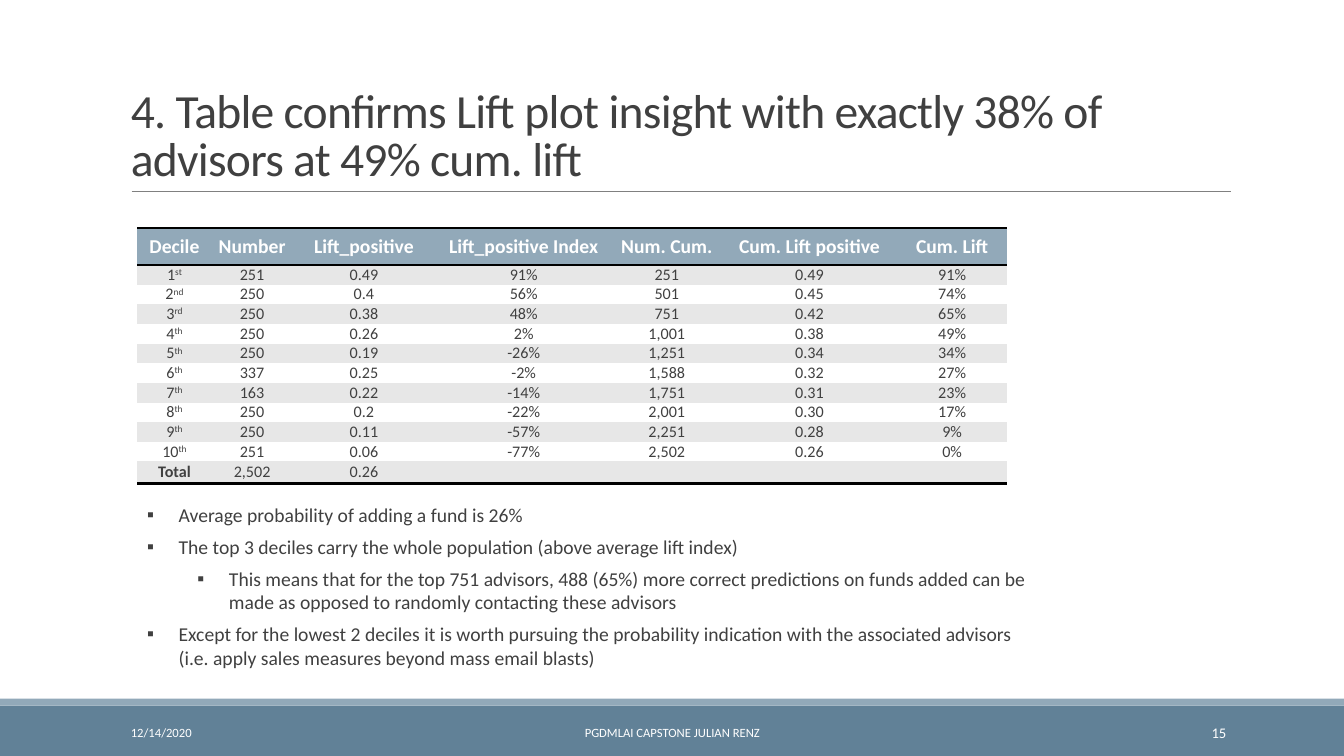
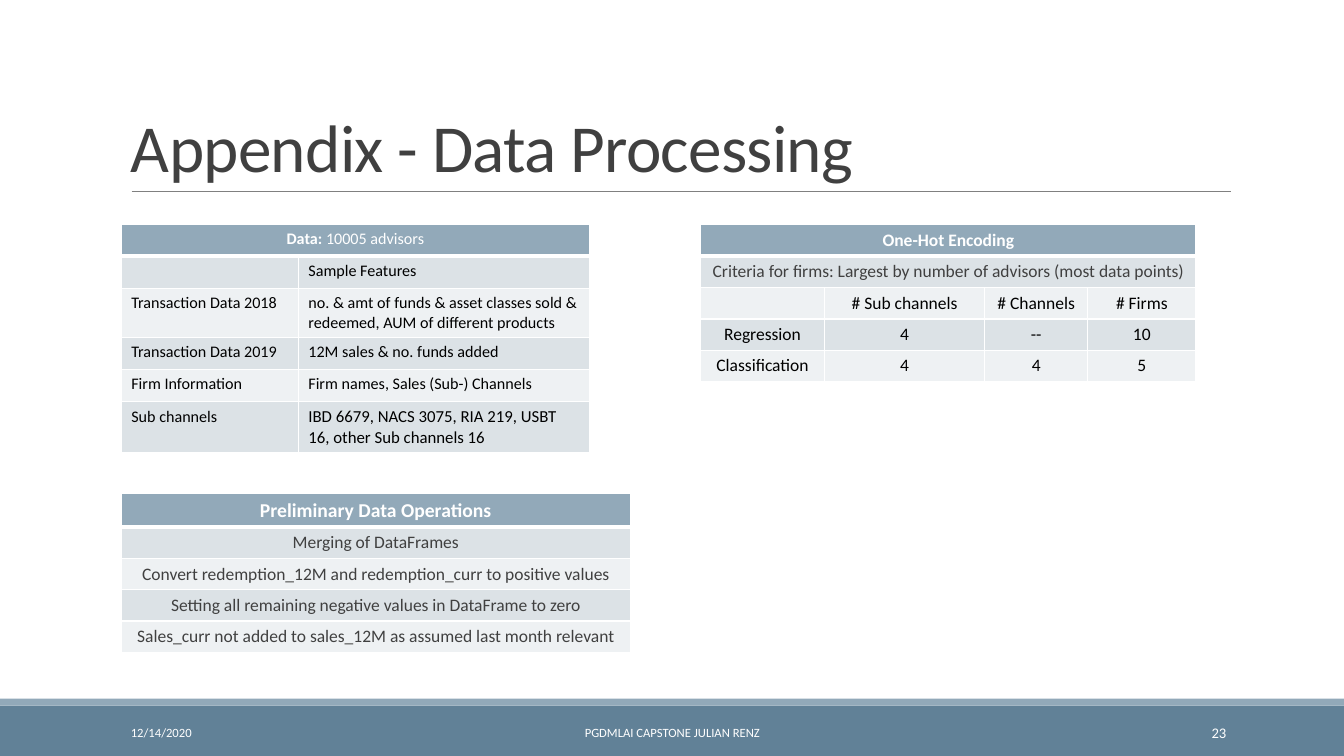
"""Build a lift-table slide and a data-processing appendix slide."""
from dataclasses import dataclass
from typing import Optional, Union

import lxml.etree
import pptx
import pptx.dml.color
import pptx.enum.shapes
import pptx.enum.text
import pptx.oxml.ns
import pptx.util

Pt = pptx.util.Pt
RGBColor = pptx.dml.color.RGBColor
Align = pptx.enum.text.PP_ALIGN
Anchor = pptx.enum.text.MSO_ANCHOR
qn = pptx.oxml.ns.qn

FONT = "Calibri"
SLATE = RGBColor(0x61, 0x81, 0x97)
STEEL = RGBColor(0x92, 0xA9, 0xB9)
RULE_GRAY = RGBColor(0x80, 0x80, 0x80)
DARK = RGBColor(0x40, 0x40, 0x40)
BLACK = RGBColor(0, 0, 0)
WHITE = RGBColor(0xFF, 0xFF, 0xFF)
LIGHT_GRAY = RGBColor(0xE7, 0xE7, 0xE7)
BLUE_BAND = RGBColor(0xDC, 0xE2, 0xE6)
PALE_BAND = RGBColor(0xEE, 0xF1, 0xF3)

SLIDE_WIDTH, SLIDE_HEIGHT = 960, 540
NO_STYLE = "{2D5ABB26-0587-4C30-8999-92F81FD0307C}"


@dataclass(frozen=True)
class Span:
    text: str
    bold: Optional[bool] = None
    baseline: int = 0
    size: Optional[float] = None


Cell = Union[str, tuple[Span, ...]]


@dataclass(frozen=True)
class TableLook:
    bands: tuple[RGBColor, RGBColor]
    border_color: RGBColor
    outer: float
    header_rule: float
    inner: float
    anchor: Anchor
    margins: tuple[float, float]


@dataclass(frozen=True)
class TableBlock:
    left: float
    top: float
    widths: list[float]
    heights: list[float]
    rows: list[list[Cell]]
    look: TableLook
    header_size: float
    body_size: float
    body_color: RGBColor
    body_align: Align = Align.CENTER


@dataclass(frozen=True)
class Footer:
    text: str
    left: float
    width: float
    size: float
    align: Align


@dataclass(frozen=True)
class Bullet:
    text: str
    level: int = 0


LIFT_LOOK = TableLook((LIGHT_GRAY, WHITE), BLACK, 2, 2, 0, Anchor.MIDDLE, (0, 0))
GRID_LOOK = TableLook((BLUE_BAND, PALE_BAND), WHITE, 1, 3, 1, Anchor.TOP, (7.2, 3.6))


def ordinal(number: str, suffix: str) -> tuple[Span, ...]:
    return Span(number), Span(suffix, baseline=30000)


LIFT_TABLE = TableBlock(
    98, 162.7, [53.3, 57.6, 102.2, 126, 78.5, 125.3, 78.5], [26.6] + [14.05] * 10 + [15.8],
    [
        ["Decile", "Number", "Lift_positive", "Lift_positive Index", "Num. Cum.",
         "Cum. Lift positive", "Cum. Lift"],
        [ordinal("1", "st"), "251", "0.49", "91%", "251", "0.49", "91%"],
        [ordinal("2", "nd"), "250", "0.4", "56%", "501", "0.45", "74%"],
        [ordinal("3", "rd"), "250", "0.38", "48%", "751", "0.42", "65%"],
        [ordinal("4", "th"), "250", "0.26", "2%", "1,001", "0.38", "49%"],
        [ordinal("5", "th"), "250", "0.19", "-26%", "1,251", "0.34", "34%"],
        [ordinal("6", "th"), "337", "0.25", "-2%", "1,588", "0.32", "27%"],
        [ordinal("7", "th"), "163", "0.22", "-14%", "1,751", "0.31", "23%"],
        [ordinal("8", "th"), "250", "0.2", "-22%", "2,001", "0.30", "17%"],
        [ordinal("9", "th"), "250", "0.11", "-57%", "2,251", "0.28", "9%"],
        [ordinal("10", "th"), "251", "0.06", "-77%", "2,502", "0.26", "0%"],
        [(Span("Total", bold=True),), "2,502", "0.26", "", "", "", ""],
    ],
    LIFT_LOOK, 14, 11.5, DARK)

DATA_TABLE = TableBlock(
    86.6, 160, [126.5, 208], [23, 23, 35, 23, 23, 36],
    [
        [(Span("Data: "), Span("10005 advisors", bold=False))],
        ["", "Sample Features"],
        ["Transaction Data 2018",
         "no. & amt of funds & asset classes sold & redeemed, AUM of different products"],
        ["Transaction Data 2019", "12M sales & no. funds added"],
        ["Firm Information", "Firm names, Sales (Sub-) Channels"],
        ["Sub channels",
         (Span("IBD 6679, NACS 3075, RIA 219, USBT 16, other Sub channels 16", size=12),)],
    ],
    GRID_LOOK, 11.5, 11.5, BLACK, Align.LEFT)

OPERATIONS_TABLE = TableBlock(
    86.6, 352.4, [363.6], [24] + [22.4] * 4,
    [
        ["Preliminary Data Operations"],
        ["Merging of DataFrames"],
        ["Convert redemption_12M and redemption_curr to positive values"],
        ["Setting all remaining negative values in DataFrame to zero"],
        ["Sales_curr not added to sales_12M as assumed last month relevant"],
    ],
    GRID_LOOK, 14, 12.5, DARK)

ENCODING_TABLE = TableBlock(
    500.4, 160.6, [88.5, 114.5, 73.5, 77.5], [22.4] * 5,
    [
        ["One-Hot Encoding"],
        ["Criteria for firms: Largest by number of advisors (most data points)"],
        ["", "# Sub channels", "# Channels", "# Firms"],
        ["Regression", "4", "--", "10"],
        ["Classification", "4", "4", "5"],
    ],
    GRID_LOOK, 12.5, 12.5, BLACK)

BULLETS = [
    Bullet("Average probability of adding a fund is 26%"),
    Bullet("The top 3 deciles carry the whole population (above average lift index)"),
    Bullet("This means that for the top 751 advisors, 488 (65%) more correct predictions on funds "
           "added can be made as opposed to randomly contacting these advisors", 1),
    Bullet("Except for the lowest 2 deciles it is worth pursuing the probability indication with "
           "the associated advisors (i.e. apply sales measures beyond mass email blasts)"),
]


def write_text(paragraph, text: str, *, size: float, color: RGBColor, bold: bool = False,
               baseline: int = 0, spacing: int = 0, align: Align = Align.LEFT) -> None:
    paragraph.alignment = align
    if not text:
        lxml.etree.SubElement(paragraph._p, qn("a:endParaRPr"), sz=str(int(size * 100)))
        return
    run = paragraph.add_run()
    run.text = text
    run.font.name = FONT
    run.font.size = Pt(size)
    run.font.bold = bold
    run.font.color.rgb = color
    properties = run.font._element
    if baseline:
        properties.set("baseline", str(baseline))
    if spacing:
        properties.set("spc", str(spacing))


def add_text_frame(slide, left: float, top: float, width: float, height: float, anchor: Anchor):
    frame = slide.shapes.add_textbox(Pt(left), Pt(top), Pt(width), Pt(height)).text_frame
    frame.word_wrap = True
    frame.vertical_anchor = anchor
    return frame


def add_band(slide, top: float, height: float, color: RGBColor) -> None:
    band = slide.shapes.add_shape(pptx.enum.shapes.MSO_SHAPE.RECTANGLE,
                                  0, Pt(top), Pt(SLIDE_WIDTH), Pt(height))
    band.shadow.inherit = False
    band.fill.solid()
    band.fill.fore_color.rgb = color
    band.line.fill.background()


def add_base_slide(presentation, title: str, title_size: float, number: str):
    slide = presentation.slides.add_slide(presentation.slide_layouts[6])
    add_band(slide, 504, 36, SLATE)
    add_band(slide, 499, 5, STEEL)
    rule = slide.shapes.add_connector(pptx.enum.shapes.MSO_CONNECTOR.STRAIGHT,
                                      Pt(94), Pt(136.8), Pt(879), Pt(136.8))
    rule.line.color.rgb = RULE_GRAY
    rule.line.width = Pt(0.5)
    lxml.etree.SubElement(rule._element.spPr, qn("a:effectLst"))

    paragraph = add_text_frame(slide, 86.4, 22.6, 792, 114.2, Anchor.BOTTOM).paragraphs[0]
    paragraph.line_spacing = 0.85
    write_text(paragraph, title, size=title_size, color=DARK, spacing=-50)

    for footer in (Footer("12/14/2020", 86.4, 194.7, 9, Align.LEFT),
                   Footer("PGDMLAI CAPSTONE JULIAN RENZ", 290.3, 379.7, 9, Align.CENTER),
                   Footer(number, 779.8, 103.3, 10.5, Align.RIGHT)):
        frame = add_text_frame(slide, footer.left, 508.6, footer.width, 28.8, Anchor.MIDDLE)
        write_text(frame.paragraphs[0], footer.text, size=footer.size, color=WHITE,
                   align=footer.align)
    return slide


def set_border(cell, side: str, width: float, color: RGBColor) -> None:
    line = lxml.etree.SubElement(cell._tc.get_or_add_tcPr(), qn(f"a:ln{side}"),
                                 w=str(int(Pt(width))))
    if not width:
        lxml.etree.SubElement(line, qn("a:noFill"))
        return
    fill = lxml.etree.SubElement(line, qn("a:solidFill"))
    lxml.etree.SubElement(fill, qn("a:srgbClr"), val=str(color))


def rule_width(look: TableLook, boundary: int, row_count: int) -> float:
    if boundary in (0, row_count):
        return look.outer
    return look.header_rule if boundary == 1 else look.inner


def style_cell(cell, look: TableLook, row_index: int, row_count: int) -> None:
    widths = {"L": look.inner, "R": look.inner,
              "T": rule_width(look, row_index, row_count),
              "B": rule_width(look, row_index + 1, row_count)}
    for side, width in widths.items():
        set_border(cell, side, width, look.border_color)
    cell.fill.solid()
    cell.fill.fore_color.rgb = look.bands[(row_index - 1) % 2] if row_index else STEEL
    cell.vertical_anchor = look.anchor
    horizontal, vertical = look.margins
    cell.margin_left = cell.margin_right = Pt(horizontal)
    cell.margin_top = cell.margin_bottom = Pt(vertical)


def add_table_block(slide, block: TableBlock) -> None:
    row_count, column_count = len(block.rows), len(block.widths)
    table = slide.shapes.add_table(row_count, column_count, Pt(block.left), Pt(block.top),
                                   Pt(sum(block.widths)), Pt(sum(block.heights))).table
    table.first_row = table.horz_banding = False
    table._tbl.tblPr.find(qn("a:tableStyleId")).text = NO_STYLE
    for column, width in zip(table.columns, block.widths):
        column.width = Pt(width)
    for row, height in zip(table.rows, block.heights):
        row.height = Pt(height)
    for row_index, contents in enumerate(block.rows):
        header = row_index == 0
        spanning = len(contents) < column_count
        for column_index in range(column_count):
            style_cell(table.cell(row_index, column_index), block.look, row_index, row_count)
        if spanning:
            table.cell(row_index, 0).merge(table.cell(row_index, column_count - 1))
        body_color = DARK if spanning else block.body_color
        for column_index, content in enumerate(contents):
            spans = (Span(content),) if isinstance(content, str) else content
            paragraph = table.cell(row_index, column_index).text_frame.paragraphs[0]
            for span in spans:
                write_text(paragraph, span.text,
                           size=span.size or (block.header_size if header else block.body_size),
                           color=WHITE if header else body_color,
                           bold=header if span.bold is None else span.bold,
                           baseline=span.baseline,
                           align=Align.CENTER if header else block.body_align)


def add_bullets(slide, bullets: list[Bullet]) -> None:
    frame = add_text_frame(slide, 98, 355.7, 656, 150, Anchor.TOP)
    for index, bullet in enumerate(bullets):
        paragraph = frame.add_paragraph() if index else frame.paragraphs[0]
        paragraph.level = bullet.level
        paragraph.space_after = Pt(6)
        write_text(paragraph, bullet.text, size=14, color=DARK)
        properties = paragraph._p.get_or_add_pPr()
        properties.set("marL", str(int(Pt(22.5 + 36 * bullet.level))))
        properties.set("indent", str(int(Pt(-22.5))))
        lxml.etree.SubElement(properties, qn("a:buFont"), typeface=FONT)
        lxml.etree.SubElement(properties, qn("a:buChar"), char="▪")


def main() -> None:
    presentation = pptx.Presentation()
    presentation.slide_width = Pt(SLIDE_WIDTH)
    presentation.slide_height = Pt(SLIDE_HEIGHT)

    lift_slide = add_base_slide(
        presentation,
        "4. Table confirms Lift plot insight with exactly 38% of advisors at 49% cum. lift", 34, "15")
    add_table_block(lift_slide, LIFT_TABLE)
    add_bullets(lift_slide, BULLETS)

    appendix_slide = add_base_slide(presentation, "Appendix - Data Processing", 48, "23")
    for block in (DATA_TABLE, OPERATIONS_TABLE, ENCODING_TABLE):
        add_table_block(appendix_slide, block)

    presentation.save("out.pptx")


if __name__ == "__main__":
    main()
